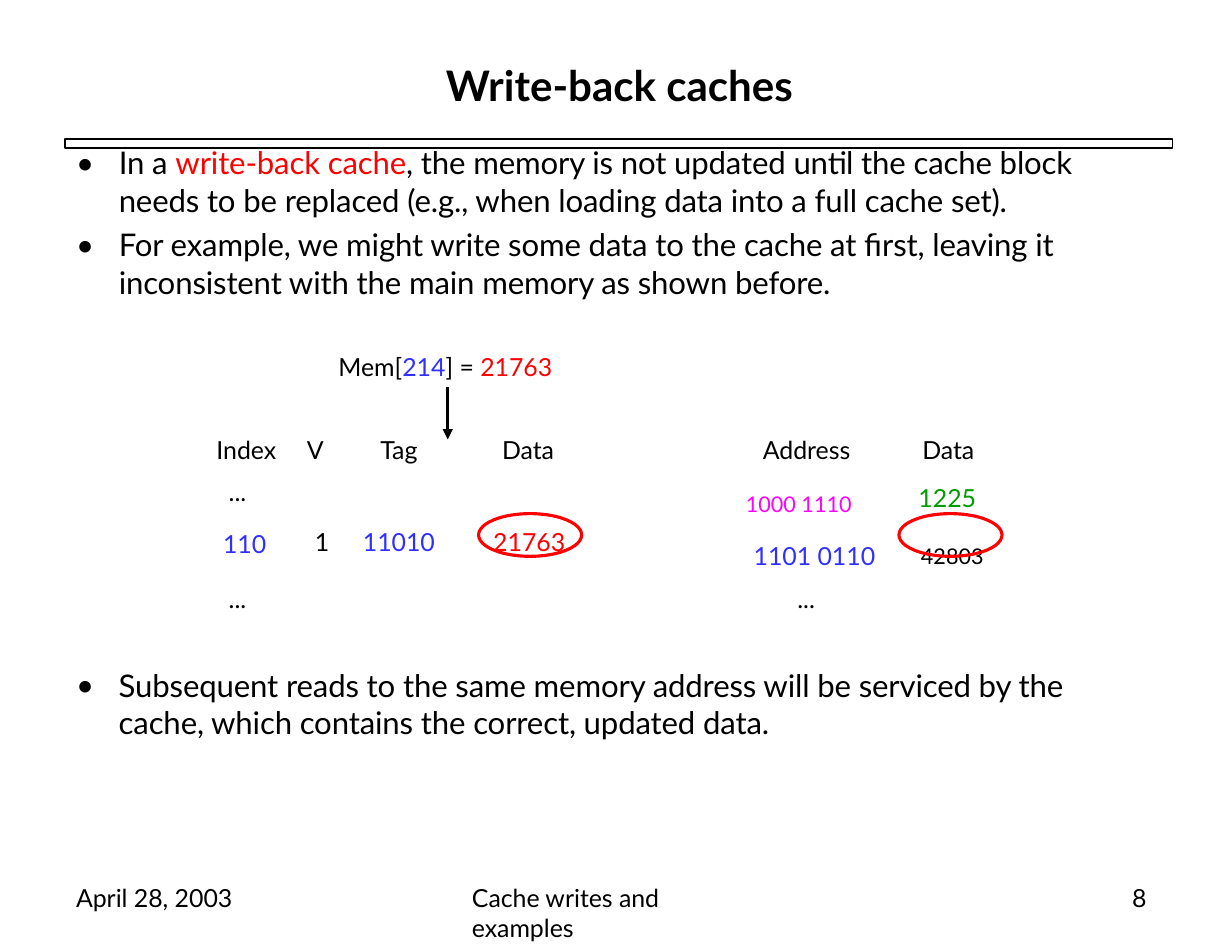
"""Build the slide about write-back caches."""
from dataclasses import dataclass
from typing import NamedTuple, Optional

from lxml.etree import SubElement
from pptx import Presentation
from pptx.dml.color import RGBColor
from pptx.enum.shapes import MSO_CONNECTOR, MSO_SHAPE
from pptx.enum.text import PP_ALIGN
from pptx.oxml.ns import qn
from pptx.util import Pt

COLORS = {
    "black": "000000",
    "red": "FF0000",
    "blue": "2F2FFF",
    "magenta": "FF00FF",
    "green": "009B00",
}
FONT = "Lato"
BODY_SIZE = 20


class Span(NamedTuple):
    text: str
    color: str = "black"
    size: float = 16
    raised: int = 0
    bold: bool = False


@dataclass
class Para:
    spans: list[Span]
    indent: float = 0
    before: float = 0
    align: PP_ALIGN = PP_ALIGN.LEFT
    bullet: bool = False
    line: Optional[float] = None


class Box(NamedTuple):
    left: float
    top: float
    width: float
    height: float
    paras: list[Para]


class Cell(NamedTuple):
    row: int
    column: int
    para: Para
    top: float = 0
    right: float = 0


def rgb(name: str) -> RGBColor:
    return RGBColor.from_string(COLORS[name])


def fill_paragraph(paragraph, para: Para) -> None:
    paragraph.alignment = para.align
    paragraph.space_before = Pt(para.before)
    if para.line:
        paragraph.line_spacing = Pt(para.line)
    properties = paragraph._p.get_or_add_pPr()
    properties.set("marL", str(Pt(para.indent)))
    properties.set("indent", str(Pt(-27.4 if para.bullet else 0)))
    if para.bullet:
        SubElement(properties, qn("a:buFont"), typeface=FONT)
        SubElement(properties, qn("a:buChar"), char="•")
    for span in para.spans:
        run = paragraph.add_run()
        run.text = span.text
        run.font.name = FONT
        run.font.size = Pt(span.size)
        run.font.bold = span.bold
        run.font.color.rgb = rgb(span.color)
        if span.raised:
            run.font._element.set("baseline", str(span.raised * 1000))
        if span.size == BODY_SIZE:
            run.font._element.set("spc", "-10")


def add_text(page, box: Box) -> None:
    shape = page.shapes.add_textbox(Pt(box.left), Pt(box.top), Pt(box.width), Pt(box.height))
    frame = shape.text_frame
    frame.word_wrap = True
    frame.margin_left = frame.margin_right = frame.margin_top = frame.margin_bottom = 0
    for index, para in enumerate(box.paras):
        fill_paragraph(frame.add_paragraph() if index else frame.paragraphs[0], para)


def add_outline(page, kind: MSO_SHAPE, left: float, top: float, width: float,
                height: float, color: str, weight: float) -> None:
    shape = page.shapes.add_shape(kind, Pt(left), Pt(top), Pt(width), Pt(height))
    shape.shadow.inherit = False
    shape.fill.background()
    shape.line.color.rgb = rgb(color)
    shape.line.width = Pt(weight)


def add_arrow(page, x: float, top: float, bottom: float) -> None:
    arrow = page.shapes.add_connector(MSO_CONNECTOR.STRAIGHT, Pt(x), Pt(top), Pt(x), Pt(bottom))
    arrow.line.color.rgb = rgb("black")
    arrow.line.width = Pt(2.2)
    SubElement(arrow.line._get_or_add_ln(), qn("a:tailEnd"), type="triangle", w="med", len="med")
    SubElement(arrow._element.spPr, qn("a:effectLst"))


def add_cache_table(page, cells: list[Cell]) -> None:
    widths, heights = [51.8, 33.1, 72.7, 92.2, 196.6, 74.1], [22.3, 27.4, 27.4, 27.4]
    table = page.shapes.add_table(len(heights), len(widths), Pt(136.8), Pt(280.1),
                                  Pt(sum(widths)), Pt(sum(heights))).table
    table.first_row = table.horz_banding = False
    for column, width in zip(table.columns, widths):
        column.width = Pt(width)
    for row, height in zip(table.rows, heights):
        row.height = Pt(height)
    for target in table.iter_cells():
        target.fill.background()
        target.margin_left = target.margin_right = target.margin_top = target.margin_bottom = 0
    for cell in cells:
        target = table.cell(cell.row, cell.column)
        target.margin_top, target.margin_right = Pt(cell.top), Pt(cell.right)
        fill_paragraph(target.text_frame.paragraphs[0], cell.para)


def header(text: str, indent: float = 0, align: PP_ALIGN = PP_ALIGN.LEFT) -> Para:
    return Para([Span(text)], indent, align=align, line=18.2)


def bullet(*spans: Span, before: float = 0) -> Para:
    return Para(list(spans), 28.1, before, bullet=True)


CENTER = PP_ALIGN.CENTER

CELLS = [
    Cell(0, 0, header("Index", 2.2)),
    Cell(0, 1, header("V", 8.6)),
    Cell(0, 2, header("Tag", align=CENTER), right=3.6),
    Cell(0, 3, header("Data", align=CENTER), right=2.6),
    Cell(0, 4, header("Address", 103.4)),
    Cell(0, 5, header("Data", 9.3)),
    Cell(1, 0, Para([Span("...")], 10.1, 3.3), 3.6),
    Cell(1, 4, Para([Span("1000 1110", "magenta", 24, 2)], 92.5, 3.6), 3.6),
    Cell(1, 5, Para([Span("1225", "green", 16)], 6.8, 3.6), 7.6),
    Cell(2, 0, Para([Span("110", "blue")], 6.5, 4.8), 5),
    Cell(2, 1, Para([Span("1")], 13.7, 3.5), 3.6),
    Cell(2, 2, Para([Span("11010", "blue")], before=3.5, align=CENTER), 3.6, 3.6),
    Cell(2, 3, Para([Span("21763", "red")], before=3.5, align=CENTER), 3.6, 1),
    Cell(2, 4, Para([Span("1101 0110", "blue")], 97.5, 4.8), 12.6),
    Cell(2, 5, Para([Span("42803", size=24, raised=5)], 8.4, 4.8), 5),
    Cell(3, 0, Para([Span("...")], 10.1, 6.6), 6.5),
    Cell(3, 4, Para([Span("...")], 125.6, 6.6), 6.5),
]

TEXTS = [
    Box(280.8, 38.2, 234, 33.8,
        [Para([Span("Write-back caches", size=27, bold=True)], align=CENTER)]),
    Box(48.2, 427.7, 659.5, 49.7, [
        bullet(Span("Subsequent reads to the same memory address will be serviced by the "
                    "cache, which contains the correct, updated data.", size=BODY_SIZE)),
    ]),
    Box(48.2, 92.2, 673.2, 158.4, [
        bullet(Span("In a ", size=BODY_SIZE), Span("write-back cache", "red", BODY_SIZE),
               Span(", the memory is not updated until the cache block needs to be replaced "
                    "(e.g., when loading data into a full cache set).", size=BODY_SIZE)),
        bullet(Span("For example, we might write some data to the cache at first, leaving it "
                    "inconsistent with the main memory as shown before.", size=BODY_SIZE),
               before=4.7),
        Para([Span("Mem["), Span("214", "blue"), Span("] = "), Span("21763", "red")], 169.2, 33),
    ]),
    Box(48.2, 566.6, 130, 20.9, [Para([Span("April 28, 2003")], 0.7)]),
    Box(302.4, 566.6, 170, 38.9, [Para([Span("Cache writes and examples")], 0.7)]),
    Box(725, 566.6, 20.9, 20.2, [Para([Span("8")], 2.2)]),
]


def main() -> None:
    deck = Presentation()
    deck.slide_width, deck.slide_height = Pt(791.3), Pt(611.3)
    page = deck.slides.add_slide(deck.slide_layouts[6])
    add_outline(page, MSO_SHAPE.RECTANGLE, 41.8, 89.3, 711.4, 5.8, "black", 1)
    for box in TEXTS:
        add_text(page, box)
    add_cache_table(page, CELLS)
    add_arrow(page, 287.6, 248.4, 282.2)
    for left in (307.4, 577.4):
        add_outline(page, MSO_SHAPE.OVAL, left, 329.8, 66.2, 27.4, "red", 2)
    deck.save("out.pptx")


if __name__ == "__main__":
    main()
